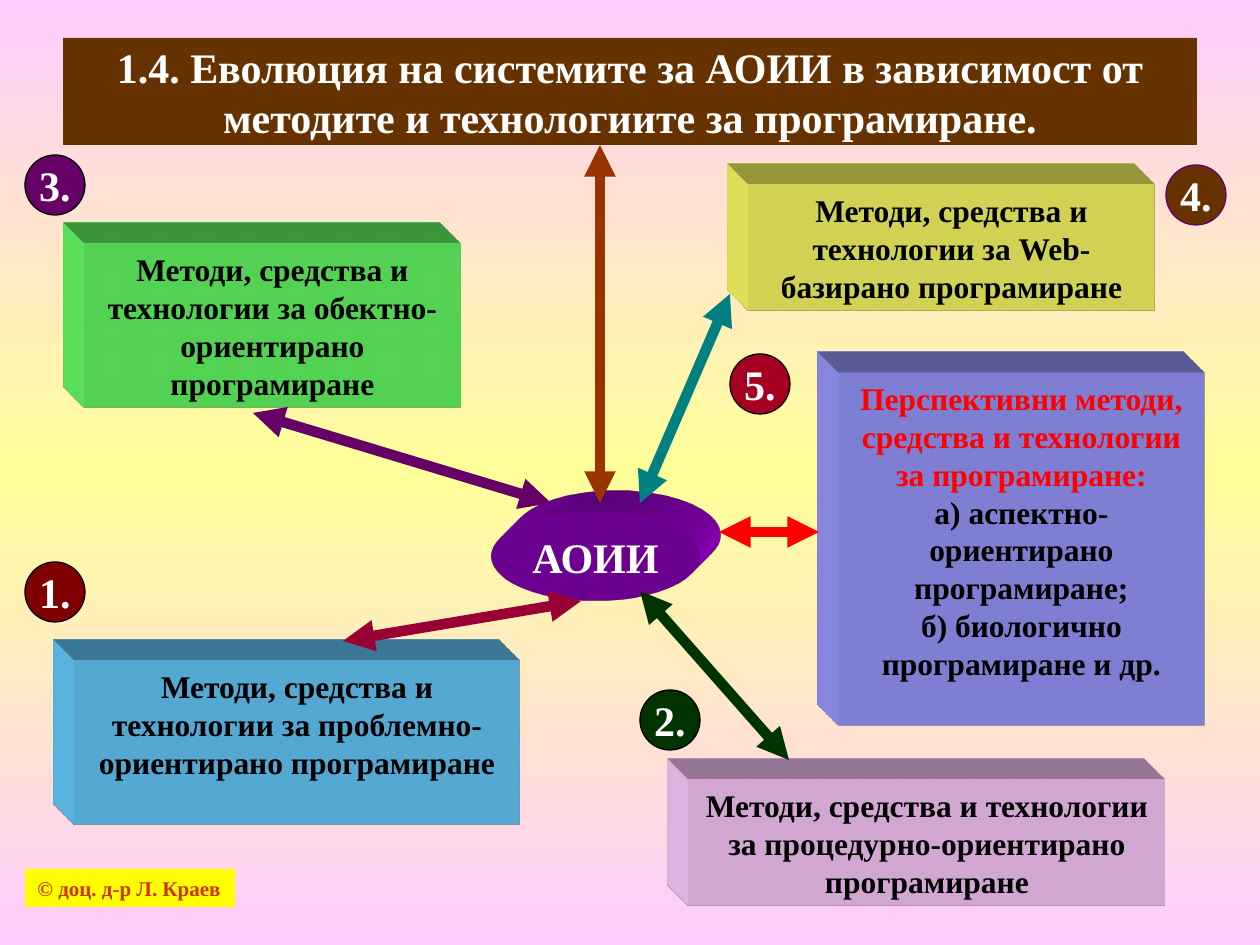
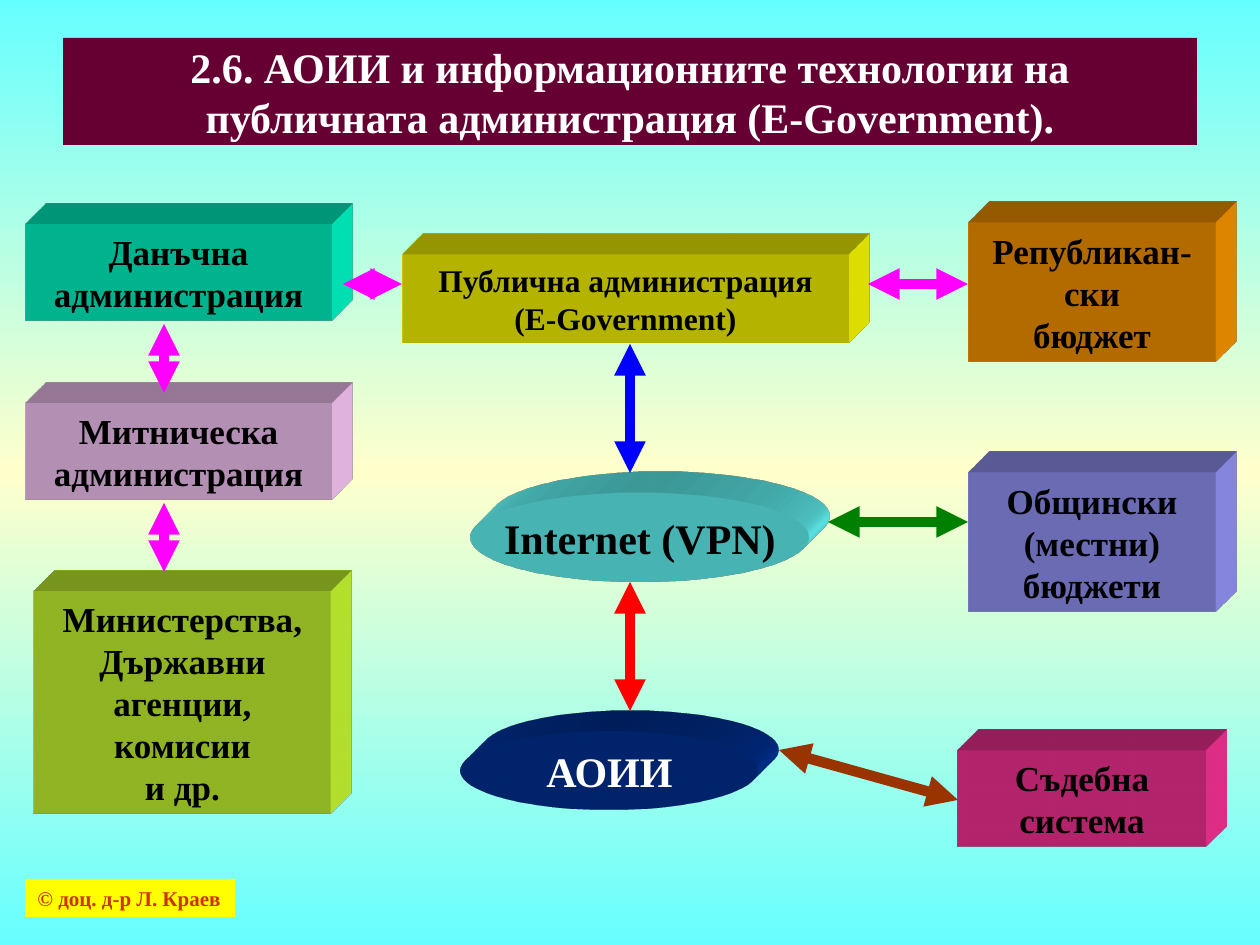
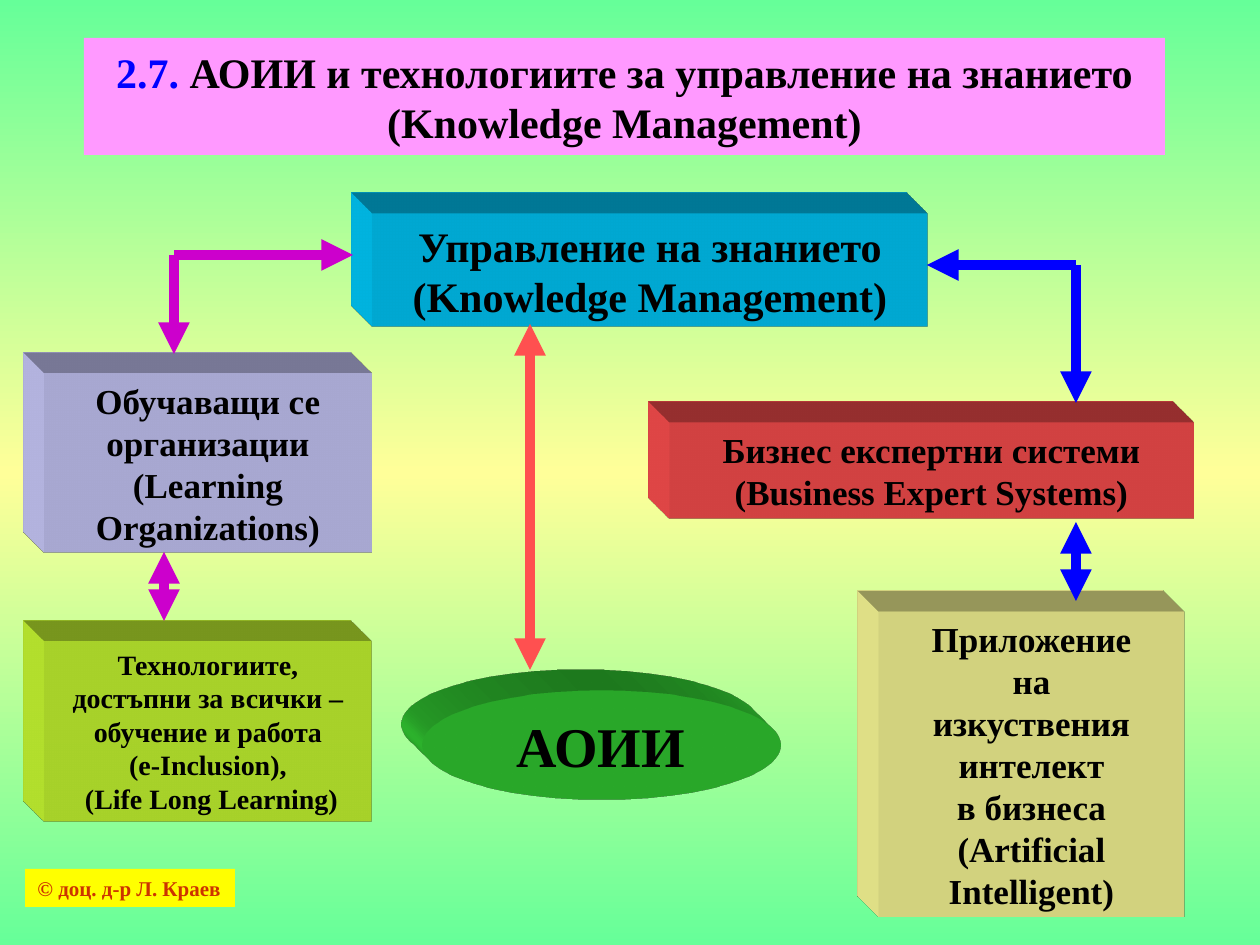
from copy import deepcopy

from lxml import etree
from pptx import Presentation
from pptx.dml.color import RGBColor
from pptx.enum.shapes import MSO_CONNECTOR, MSO_SHAPE
from pptx.enum.text import MSO_ANCHOR, MSO_AUTO_SIZE, PP_ALIGN
from pptx.oxml.ns import qn
from pptx.util import Pt

PX = 914400 / 126
FONT = "Times New Roman"
BLACK, WHITE = "000000", "FFFFFF"
YELLOW, RUST = "FFFF00", "CC3300"
RECT, ELLIPSE = MSO_SHAPE.RECTANGLE, MSO_SHAPE.OVAL
STRAIGHT = MSO_CONNECTOR.STRAIGHT
CENTER, LEFT = PP_ALIGN.CENTER, PP_ALIGN.LEFT
TOP, MIDDLE = MSO_ANCHOR.TOP, MSO_ANCHOR.MIDDLE
GROW, FIXED = MSO_AUTO_SIZE.SHAPE_TO_FIT_TEXT, MSO_AUTO_SIZE.NONE
BOTH, START, END = ("headEnd", "tailEnd"), ("headEnd",), ("tailEnd",)
TITLE_BOX = (63, 38, 1134, 107)
DEPTH = 430200


def emu(*lengths):
    return [round(length * PX) for length in lengths]


def rgb(color):
    return RGBColor.from_string(color)


def write(shape, text, size=18, color=BLACK, align=CENTER, anchor=TOP, wrap=True, fit=FIXED):
    frame = shape.text_frame
    frame.word_wrap = wrap
    frame.auto_size = fit
    frame.vertical_anchor = anchor
    paragraph = frame.paragraphs[0]
    paragraph.alignment = align
    parts = [(text, color)] if isinstance(text, str) else text
    for part, part_color in parts:
        for index, line in enumerate(part.split("\n")):
            if index:
                paragraph.add_line_break()
            run = paragraph.add_run()
            run.text = line
            run.font.name = FONT
            run.font.size = Pt(size)
            run.font.bold = True
            run.font.color.rgb = rgb(part_color)
            if index:
                run._r.getprevious().append(deepcopy(run._r.rPr))


def add_solid(slide, kind, box, fill, outline=None):
    shape = slide.shapes.add_shape(kind, *emu(*box))
    shape.shadow.inherit = False
    shape.fill.solid()
    shape.fill.fore_color.rgb = rgb(fill)
    if outline:
        shape.line.color.rgb = rgb(outline)
        shape.line.width = Pt(0.75)
    else:
        shape.line.fill.background()
    return shape


def extrude(shape, color, side):
    properties = shape._element.spPr
    scene = etree.SubElement(properties, qn("a:scene3d"))
    etree.SubElement(scene, qn("a:camera"), prst=f"legacyObliqueTop{side}")
    etree.SubElement(scene, qn("a:lightRig"), rig="legacyFlat3", dir="b")
    solid = etree.SubElement(properties, qn("a:sp3d"), extrusionH=str(DEPTH), prstMaterial="legacyMatte")
    for bevel in ("a:bevelT", "a:bevelB"):
        etree.SubElement(solid, qn(bevel), w="13500", h="13500", prst="angle")
    extrusion = etree.SubElement(solid, qn("a:extrusionClr"))
    etree.SubElement(extrusion, qn("a:srgbClr"), val=color)


def add_block(slide, box, fill, text, side, size=18):
    block = add_solid(slide, RECT, box, fill)
    extrude(block, fill, side)
    write(block, text, size=size, fit=GROW)


def add_hub(slide, box, fill, text, side, size=24, color=WHITE):
    hub = add_solid(slide, ELLIPSE, box, fill)
    extrude(hub, fill, side)
    write(hub, text, size=size, color=color, anchor=MIDDLE, wrap=False)


def add_badge(slide, left, top, fill, number, outline=BLACK):
    badge = add_solid(slide, ELLIPSE, (left, top, 60, 60), fill, outline)
    write(badge, number, size=24, color=WHITE, anchor=MIDDLE, wrap=False)


def add_arrow(slide, ends, color, heads=BOTH):
    arrow = slide.shapes.add_connector(STRAIGHT, *emu(*ends))
    arrow.line.color.rgb = rgb(color)
    arrow.line.width = Pt(6)
    line = arrow.line._get_or_add_ln()
    for head in heads:
        etree.SubElement(line, qn(f"a:{head}"), type="triangle")
    etree.SubElement(arrow._element.spPr, qn("a:effectLst"))


def paint_background(slide, edge, middle):
    fill = slide.background.fill
    fill.gradient()
    fill.gradient_angle = 270
    stop_list = slide._element.find(".//" + qn("a:gsLst"))
    stop_list.insert(1, deepcopy(stop_list[0]))
    for stop, color, position in zip(fill.gradient_stops, (edge, middle, edge), (0, 0.5, 1)):
        stop.color.rgb = rgb(color)
        stop.position = position


def start_slide(prs, edge, middle, title, title_fill, title_box=TITLE_BOX, credit_top=869):
    slide = prs.slides.add_slide(prs.slide_layouts[5])
    paint_background(slide, edge, middle)
    heading = slide.shapes.title
    heading.left, heading.top, heading.width, heading.height = emu(*title_box)
    heading.fill.solid()
    heading.fill.fore_color.rgb = rgb(title_fill)
    write(heading, title, size=24, color=WHITE, anchor=MIDDLE)
    credit = add_solid(slide, RECT, (25, credit_top, 210, 38), YELLOW)
    write(credit, "© доц. д-р Л. Краев", size=12, color=RUST, align=LEFT, wrap=False, fit=GROW)
    return slide


def build_evolution(prs):
    slide = start_slide(
        prs, "FFCCFF", "FFFF99",
        "1.4. Еволюция на системите за АОИИ в зависимост от методите и технологиите за програмиране.",
        "663300")
    add_hub(slide, (491, 512, 209, 89), "9900CC", "АОИИ", "Right")
    methods = "Методи, средства и технологии за "
    outlook = [
        ("Перспективни методи, средства и технологии за програмиране:\n", "FF0000"),
        ("а) аспектно-ориентирано програмиране;\nб) биологично програмиране и др.", BLACK),
    ]
    for box, fill, text in [
        ((74, 661, 446, 164), "66CCFF", methods + "проблемно-ориентирано програмиране"),
        ((689, 780, 476, 126), "FFCCFF", methods + "процедурно-ориентирано програмиране"),
        ((84, 244, 377, 164), "66FF66", methods + "обектно-ориентирано програмиране"),
        ((748, 185, 407, 126), "FFFF66", methods + "Web-базирано програмиране"),
        ((838, 373, 367, 353), "9999FF", outlook),
    ]:
        add_block(slide, box, fill, text, "Left")
    add_badge(slide, 25, 562, "800000", "1.")
    add_badge(slide, 25, 155, "660066", "3.")
    add_badge(slide, 640, 690, "003300", "2.")
    add_badge(slide, 1166, 165, "663300", "4.", outline="660066")
    add_badge(slide, 730, 354, "A50021", "5.")
    for ends, color in [
        ((600, 145, 600, 503), "993300"),
        ((581, 601, 343, 641), "990033"),
        ((253, 413, 551, 503), "660066"),
        ((640, 591, 789, 760), "003300"),
        ((730, 294, 640, 503), "008080"),
        ((719, 532, 819, 532), "FF0000"),
    ]:
        add_arrow(slide, ends, color)


def build_government(prs):
    slide = start_slide(
        prs, "66FFFF", "FFFFCC",
        "2.6. АОИИ и информационните технологии на публичната администрация (E-Government).",
        "660033", credit_top=879)
    add_hub(slide, (461, 731, 297, 79), "003399", "АОИИ", "Right")
    add_block(slide, (402, 255, 447, 88), "FFFF00", "Публична администрация\n(E-Government)", "Right")
    for box, fill, text in [
        ((25, 224, 307, 97), "00FFCC", "Данъчна\nадминистрация"),
        ((25, 403, 307, 97), "FFCCFF", "Митническа\nадминистрация"),
        ((34, 591, 297, 223), "CCFF33", "Министерства,\nДържавни\nагенции,\nкомисии\nи др."),
        ((968, 223, 248, 139), "FF9900", "Републикан-ски\nбюджет"),
        ((968, 473, 248, 139), "9999FF", "Общински\n(местни)\nбюджети"),
        ((958, 750, 248, 97), "FF3399", "Съдебна\nсистема"),
    ]:
        add_block(slide, box, fill, text, "Right", size=20)
    add_hub(slide, (471, 493, 338, 89), "66FFFF", "Internet (VPN)", "Right", color=BLACK)
    for ends, color in [
        ((630, 711, 630, 582), "FF0000"),
        ((630, 473, 630, 344), "0000FF"),
        ((402, 284, 343, 284), "FF00FF"),
        ((164, 324, 164, 393), "FF00FF"),
        ((164, 572, 164, 503), "FF00FF"),
        ((868, 284, 968, 284), "FF00FF"),
        ((828, 522, 968, 522), "008000"),
        ((779, 750, 958, 800), "993300"),
    ]:
        add_arrow(slide, ends, color)


def build_knowledge(prs):
    title = [
        ("2.7. ", "0000FF"),
        ("АОИИ и технологиите за управление на знанието\n(Knowledge Management)", BLACK),
    ]
    slide = start_slide(prs, "66FF99", "FFFF99", title, "FF99FF", title_box=(84, 38, 1081, 117))
    add_hub(slide, (422, 690, 358, 110), "33CC33", "АОИИ", "Left", size=32, color=BLACK)
    for box, fill, size, text in [
        ((372, 214, 556, 113), "00CCFF", 24, "Управление на знанието\n(Knowledge Management)"),
        ((44, 373, 328, 180), "CCCCFF", 20, "Обучаващи се организации\n(Learning\nOrganizations)"),
        ((44, 641, 328, 181), "CCFF33", 16,
         "Технологиите, достъпни за всички – обучение и работа\n(e-Inclusion),\n (Life Long Learning)"),
        ((669, 422, 525, 97), "FF5050", 20, "Бизнес експертни системи\n(Business Expert Systems)"),
        ((878, 611, 307, 306), "FFFF99", 20,
         "Приложение\nна\nизкуствения\nинтелект\nв бизнеса\n(Artificial\nIntelligent)"),
    ]:
        add_block(slide, box, fill, text, "Left", size=size)
    for ends, color, heads in [
        ((530, 670, 530, 324), "FF5050", BOTH),
        ((353, 255, 174, 255), "CC00CC", START),
        ((174, 255, 174, 354), "CC00CC", END),
        ((164, 552, 164, 621), "CC00CC", BOTH),
        ((927, 265, 1076, 265), "0000FF", START),
        ((1076, 265, 1076, 403), "0000FF", END),
        ((1076, 522, 1076, 601), "0000FF", BOTH),
    ]:
        add_arrow(slide, ends, color, heads)


def main():
    prs = Presentation()
    prs.slide_width, prs.slide_height = emu(1260, 945)
    build_evolution(prs)
    build_government(prs)
    build_knowledge(prs)
    prs.save("out.pptx")


if __name__ == "__main__":
    main()
